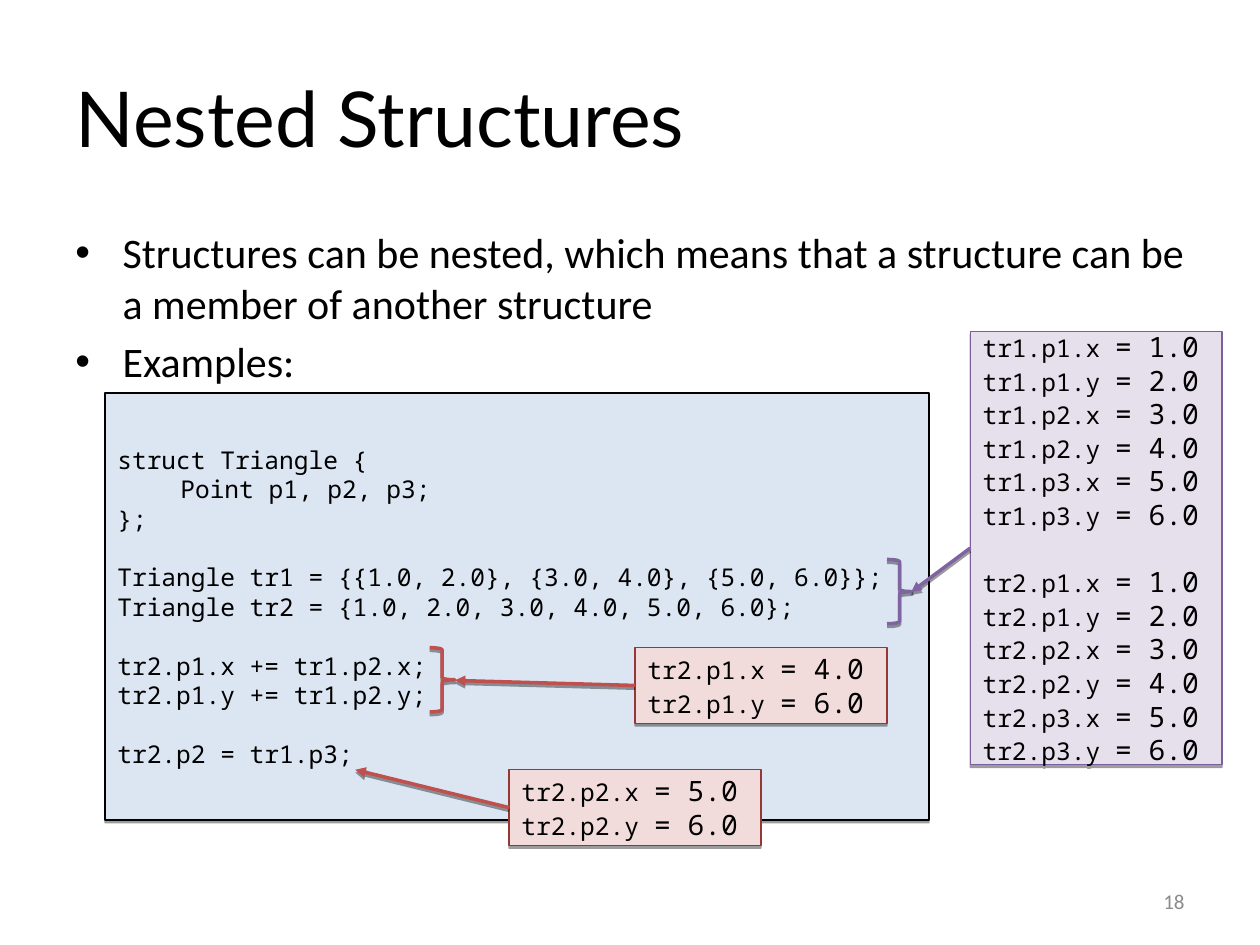
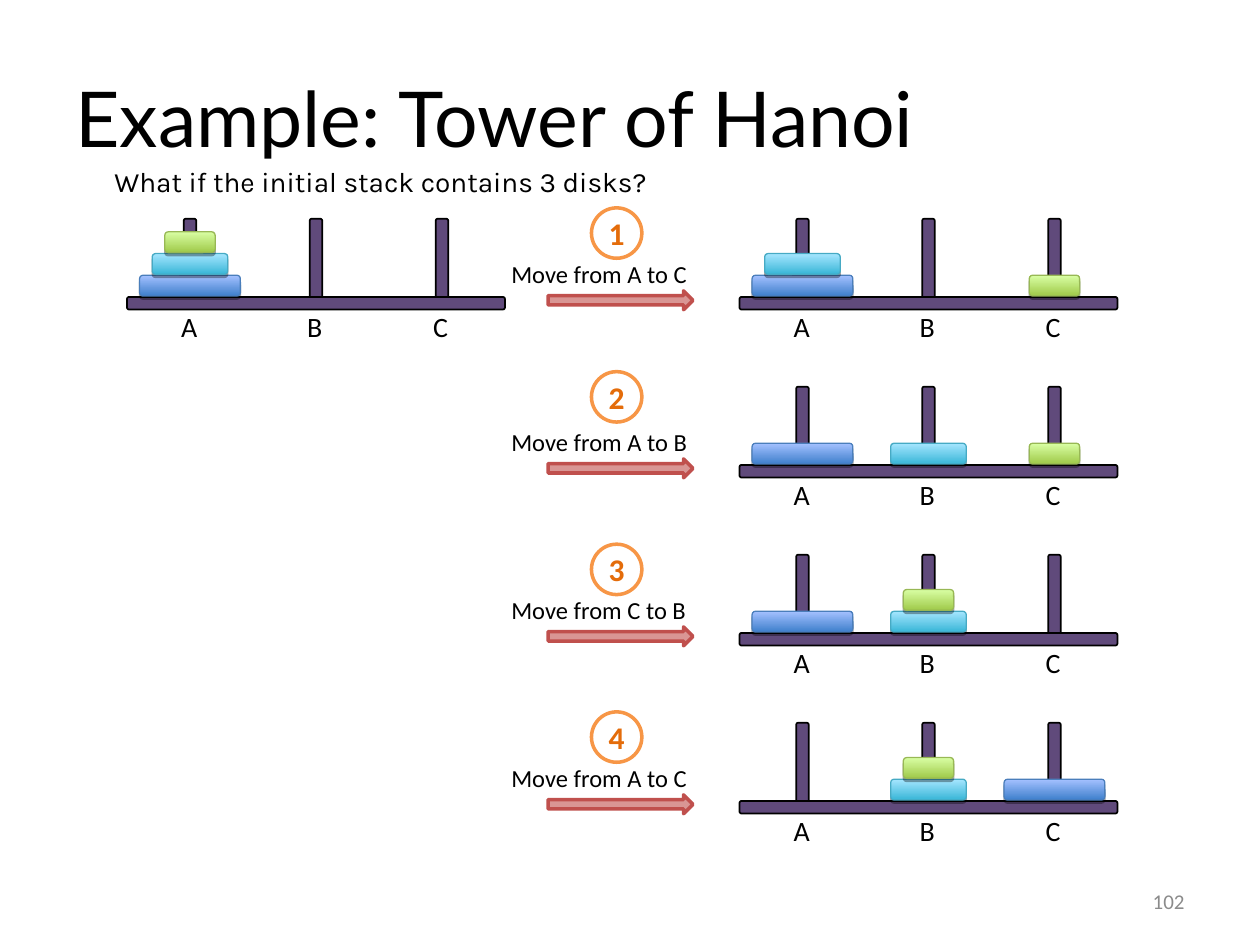
from lxml import etree
from pptx import Presentation
from pptx.dml.color import RGBColor
from pptx.enum.shapes import MSO_CONNECTOR, MSO_SHAPE
from pptx.enum.text import MSO_ANCHOR, PP_ALIGN
from pptx.oxml.ns import qn
from pptx.util import Pt

RECT = MSO_SHAPE.RECTANGLE
ROUND = MSO_SHAPE.ROUNDED_RECTANGLE
OVAL = MSO_SHAPE.OVAL
ARROW = MSO_SHAPE.RIGHT_ARROW
BRACE = MSO_SHAPE.RIGHT_BRACE
LINE = MSO_CONNECTOR.STRAIGHT
TOP, MID = MSO_ANCHOR.TOP, MSO_ANCHOR.MIDDLE
LEFT, CENTER, RIGHT = PP_ALIGN.LEFT, PP_ALIGN.CENTER, PP_ALIGN.RIGHT

BLACK, WHITE, GRAY = "000000", "FFFFFF", "8B8B8B"
PURPLE, RED, WOOD = "8064A2", "C0504D", "604A7B"
BODY, HEAD, MONO, NOTE = "Calibri", "Lato", "Noto Sans Mono", "Karla"

DISKS = {
    "big": (57.6, "3E7FCC", "A4C1FF", "4A7EBB"),
    "mid": (43.2, "38B6D7", "A6E6FF", "46AAC4"),
    "small": (28.8, "9FC949", "D9FFA4", "98B855"),
}
START = [["big", "mid", "small"], [], []]
STEPS = [
    ("A", "C", 118.8, [["big", "mid"], [], ["small"]]),
    ("A", "B", 212.4, [["big"], ["mid"], ["small"]]),
    ("C", "B", 311, [["big"], ["mid", "small"], []]),
    ("A", "C", 406.8, [[], ["mid", "small"], ["big"]]),
]
CODE = [
    ["struct Triangle {", "\tPoint p1, p2, p3;", "};"],
    ["Triangle tr1 = {{1.0, 2.0}, {3.0, 4.0}, {5.0, 6.0}};",
     "Triangle tr2 = {1.0, 2.0, 3.0, 4.0, 5.0, 6.0};"],
    ["tr2.p1.x += tr1.p2.x;", "tr2.p1.y += tr1.p2.y;"],
    ["tr2.p2 = tr1.p3;"],
]


def color(code):
    return RGBColor.from_string(code)


def points(*sizes):
    return [Pt(size) for size in sizes]


def shade(item, alpha=38, dist=1.6):
    props = item.element.spPr
    effects = props.find(qn("a:effectLst"))
    if effects is None:
        effects = etree.SubElement(props, qn("a:effectLst"))
    drop = etree.SubElement(effects, qn("a:outerShdw"), blurRad="0",
                            dist=str(Pt(dist)), dir="5400000", rotWithShape="0")
    tone = etree.SubElement(drop, qn("a:srgbClr"), val=BLACK)
    etree.SubElement(tone, qn("a:alpha"), val=str(alpha * 1000))


def draw(slide, kind, box, fill=None, line=None, width=0.75, adj=()):
    shape = slide.shapes.add_shape(kind, *points(*box))
    shape.shadow.inherit = False
    if isinstance(fill, tuple):
        shape.fill.gradient()
        shape.fill.gradient_angle = 90
        for stop, tone in zip(shape.fill.gradient_stops, fill):
            stop.color.rgb = color(tone)
    elif fill:
        shape.fill.solid()
        shape.fill.fore_color.rgb = color(fill)
    else:
        shape.fill.background()
    if line:
        shape.line.color.rgb = color(line)
        shape.line.width = Pt(width)
    else:
        shape.line.fill.background()
    for index, value in enumerate(adj):
        shape.adjustments[index] = value
    return shape


def bullet(para):
    props = para._p.get_or_add_pPr()
    props.set("marL", str(Pt(27)))
    props.set("indent", str(Pt(-27)))
    tint = etree.SubElement(props, qn("a:buClr"))
    etree.SubElement(tint, qn("a:srgbClr"), val=BLACK)
    etree.SubElement(props, qn("a:buFont"), typeface="Arial")
    etree.SubElement(props, qn("a:buChar"), char="•")


def write(shape, blocks, size=16, font=BODY, tone=BLACK, bold=False,
          align=LEFT, anchor=TOP, inset=(7.2, 3.6), gap=0, dots=False):
    frame = shape.text_frame
    frame.word_wrap = True
    frame.vertical_anchor = anchor
    frame.margin_left = frame.margin_right = Pt(inset[0])
    frame.margin_top = frame.margin_bottom = Pt(inset[1])
    if isinstance(blocks, str):
        blocks = [[blocks]]
    rows = [(row, b > 0 and r == 0)
            for b, block in enumerate(blocks) for r, row in enumerate(block)]
    for index, (row, apart) in enumerate(rows):
        para = frame.add_paragraph() if index else frame.paragraphs[0]
        para.alignment = align
        if dots:
            bullet(para)
        if apart:
            para.space_before = Pt(gap)
        parts = [(row, size)] if isinstance(row, str) else row
        for words, height in parts:
            run = para.add_run()
            run.text = words
            run.font.size = Pt(height)
            run.font.name = font
            run.font.bold = bold
            run.font.color.rgb = color(tone)


def label(slide, box, blocks, **style):
    write(slide.shapes.add_textbox(*points(*box)), blocks, **style)


def panel(slide, box, blocks, fill, line, gap=0):
    shape = draw(slide, RECT, box, fill, line)
    shade(shape)
    write(shape, blocks, size=14, font=MONO, anchor=MID, gap=gap)


def brace(slide, left, top, tone):
    shade(draw(slide, BRACE, (left, top, 14.4, 36.7), line=tone, width=2,
               adj=(0.083, 0.5)))


def pointer(slide, ends, tone):
    item = slide.shapes.add_connector(LINE, *points(*ends))
    item.line.color.rgb = color(tone)
    item.line.width = Pt(2)
    etree.SubElement(item.line._ln, qn("a:tailEnd"), type="triangle")
    shade(item)


def values(name, nums):
    return [[(f"{name}.{axis} ", 14), (f"= {num:.1f}", 16)]
            for axis, num in zip("xy", nums)]


def corners(name):
    return [row for n in (1, 2, 3)
            for row in values(f"{name}.p{n}", (2 * n - 1, 2 * n))]


def page(deck, title, number):
    slide = deck.slides.add_slide(deck.slide_layouts[6])
    label(slide, (36, 21.6, 648, 90), title, size=44, font=HEAD, anchor=MID)
    label(slide, (516, 500.5, 168, 28.75), number, size=12, tone=GRAY,
          align=RIGHT, anchor=MID)
    return slide


def tower(slide, left, top, stacks):
    for index, (name, stack) in enumerate(zip("ABC", stacks)):
        mid = left + 36 + 72 * index
        draw(slide, ROUND, (mid - 3.6, top - 44.7, 7.2, 50.4), WOOD, BLACK, 1)
        label(slide, (mid - 12.2, top + 3.7, 25.2, 26), name)
    draw(slide, ROUND, (left, top, 216, 7.2), WOOD, BLACK, 1)
    for index, stack in enumerate(stacks):
        mid = left + 36 + 72 * index
        for level, disk in enumerate(stack, 1):
            width, dark, light, edge = DISKS[disk]
            box = (mid - width / 2, top - 12.4 * level, width, 11.9)
            shade(draw(slide, ROUND, box, (dark, light), edge), 35, 1.8)


def nested(deck):
    slide = page(deck, "Nested Structures", "18")
    label(slide, (36, 126, 648, 98.6),
          [["Structures can be nested, which means that a structure can be "
            "a member of another structure"], ["Examples:"]],
          size=24, gap=4.8, dots=True)
    panel(slide, (60, 224.6, 470.9, 244), CODE, "DCE6F2", BLACK, 16.8)
    panel(slide, (554.4, 189.3, 144, 247.7), [corners("tr1"), corners("tr2")],
          "E6E0EC", "7D5FA0", 19.2)
    brace(slide, 506.9, 319.7, PURPLE)
    pointer(slide, (554.4, 313.2, 520.6, 338.4), PURPLE)
    brace(slide, 245.5, 370.1, RED)
    for left, top, name, nums, tip in (
            (362.9, 370.1, "tr2.p1", (4, 6), (259.9, 388.8)),
            (290.9, 439.9, "tr2.p2", (5, 6), (203, 439.9))):
        panel(slide, (left, top, 144, 43.2), [values(name, nums)],
              "F2DCDB", "953735")
        pointer(slide, (left, top + 21.6, *tip), RED)


def hanoi(deck):
    slide = page(deck, "Example: Tower of Hanoi", "102")
    note = draw(slide, RECT, (58.3, 90.7, 340.6, 26), WHITE)
    write(note, "What if the initial stack contains 3 disks?", font=NOTE)
    tower(slide, 72.6, 169.7, START)
    for index, (source, goal, high, stacks) in enumerate(STEPS):
        top = 169.7 + 96 * index
        draw(slide, ARROW, (313.2, top - 3.5, 82.8, 10.8), "D99694", RED, 2)
        tower(slide, 422.6, top, stacks)
        label(slide, (285.1, top - 25.2, 136, 24),
              f"Move from {source} to {goal}", size=14)
        ring = draw(slide, OVAL, (338, high, 28.8, 28.8), line="F79646", width=2)
        write(ring, str(index + 1), size=18, tone="E46C0A", bold=True,
              align=CENTER, anchor=MID, inset=(0, 0))


def main():
    deck = Presentation()
    deck.slide_width, deck.slide_height = points(720, 540)
    nested(deck)
    hanoi(deck)
    deck.save("out.pptx")


if __name__ == "__main__":
    main()
